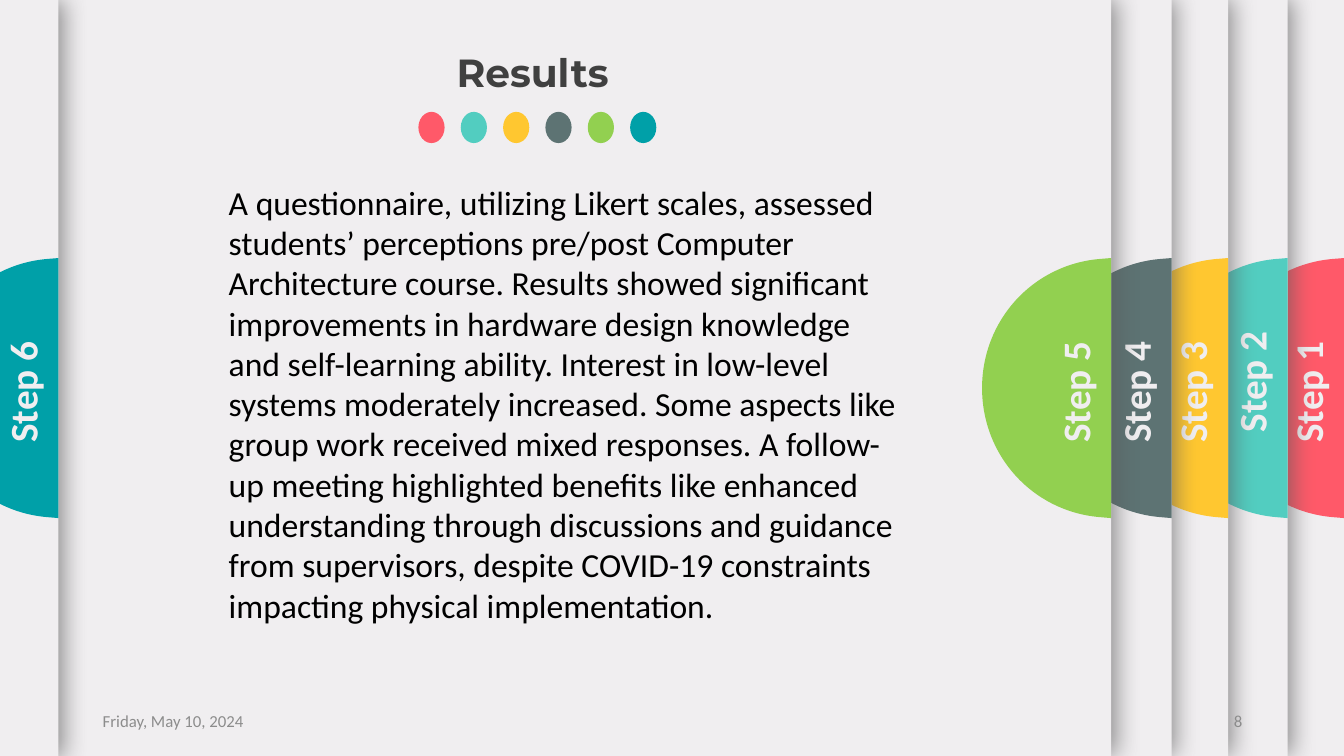
from lxml import etree
from pptx import Presentation
from pptx.dml.color import RGBColor
from pptx.enum import shapes, text
from pptx.oxml import ns
from pptx.util import Inches, Pt

PANEL = RGBColor(0xF0, 0xEE, 0xF0)
RED = RGBColor(0xFF, 0x59, 0x69)
TURQUOISE = RGBColor(0x52, 0xCD, 0xC0)
YELLOW = RGBColor(0xFF, 0xC7, 0x30)
SLATE = RGBColor(0x5D, 0x73, 0x73)
GREEN = RGBColor(0x92, 0xD0, 0x50)
TEAL = RGBColor(0x00, 0xA0, 0xA8)
DARK = RGBColor(0x40, 0x40, 0x40)
BLACK = RGBColor(0, 0, 0)
GREY = RGBColor(0x8C, 0x8C, 0x8C)

SLIDE_HEIGHT = 7.5
TAB_TOP, TAB_WIDTH, TAB_HEIGHT = 2.56, 1.28, 2.58

# Sheet left, sheet right edge, tab colour, label top
STEPS = [
    (-0.32, 13.33, RED, 3.56),
    (0.25, 12.77, TURQUOISE, 3.46),
    (1.29, 12.18, YELLOW, 3.56),
    (1.15, 11.62, SLATE, 3.56),
    (-1.95, 11.02, GREEN, 3.56),
    (-10.27, 0.58, TEAL, 3.56),
]

BODY = (
    "A questionnaire, utilizing Likert scales, assessed students’ perceptions "
    "pre/post Computer Architecture course. Results showed significant "
    "improvements in hardware design knowledge and self-learning ability. "
    "Interest in low-level systems moderately increased. Some aspects like "
    "group work received mixed responses. A follow-up meeting highlighted "
    "benefits like enhanced understanding through discussions and guidance "
    "from supervisors, despite COVID-19 constraints impacting physical "
    "implementation."
)


def paint(shape, color):
    shape.shadow.inherit = False
    shape.fill.solid()
    shape.fill.fore_color.rgb = color
    shape.line.fill.background()


def add_text(slide, words, left, top, width, height, *, size, color,
             font="Calibri", bold=False, align=text.PP_ALIGN.LEFT,
             anchor=text.MSO_ANCHOR.TOP, rotation=0, margin_top=0.05):
    box = slide.shapes.add_textbox(
        Inches(left), Inches(top), Inches(width), Inches(height))
    box.rotation = rotation
    frame = box.text_frame
    frame.word_wrap = True
    frame.vertical_anchor = anchor
    frame.margin_top = Inches(margin_top)
    paragraph = frame.paragraphs[0]
    paragraph.alignment = align
    run = paragraph.add_run()
    run.text = words
    run.font.name = font
    run.font.size = Pt(size)
    run.font.bold = bold
    run.font.color.rgb = color


def add_side_shadow(shape):
    """Cast a soft shadow to the right of the shape."""
    effects = shape._element.spPr.find(ns.qn("a:effectLst"))
    shadow = etree.SubElement(
        effects, ns.qn("a:outerShdw"), blurRad=str(Pt(17)), dist=str(Pt(3)),
        dir="0", algn="l", rotWithShape="0")
    color = etree.SubElement(shadow, ns.qn("a:srgbClr"), val="595959")
    etree.SubElement(color, ns.qn("a:alpha"), val="65000")


def curve_lines(shape, first):
    """Turn each three line segments from index first on into one curve."""
    lines = list(shape._element.iter(ns.qn("a:lnTo")))[first:]
    for start in range(0, len(lines), 3):
        curve = etree.Element(ns.qn("a:cubicBezTo"))
        lines[start].addprevious(curve)
        for line in lines[start:start + 3]:
            curve.append(line[0])
            line.getparent().remove(line)


def add_half_disc(slide, left, top, width, height, color):
    """Draw the left half of a disc, flat on its right side."""
    right, bottom, middle = left + width, top + height, top + height / 2
    shoulder, bend = right - 0.12, left + 0.5
    reach = height * 0.26
    points = [
        (right, bottom), (shoulder, bottom - 0.01),
        (bend, bottom - 0.07), (left, middle + reach), (left, middle),
        (left, middle - reach), (bend, top + 0.07), (shoulder, top + 0.01),
    ]
    builder = slide.shapes.build_freeform(Inches(right), Inches(top))
    builder.add_line_segments([(Inches(x), Inches(y)) for x, y in points])
    disc = builder.convert_to_shape()
    curve_lines(disc, 2)
    path = next(disc._element.iter(ns.qn("a:cubicBezTo"))).getparent()
    etree.SubElement(path, ns.qn("a:close"))
    paint(disc, color)


def add_step_panel(slide, number, left, edge, color, label_top):
    """Draw a sheet that ends at edge, with its tab and turned label."""
    sheet = slide.shapes.add_shape(
        shapes.MSO_SHAPE.RECTANGLE, Inches(left), 0, Inches(edge - left),
        Inches(SLIDE_HEIGHT))
    paint(sheet, PANEL)
    add_side_shadow(sheet)
    add_half_disc(slide, edge - TAB_WIDTH, TAB_TOP, TAB_WIDTH, TAB_HEIGHT,
                  color)
    # The trailing space offsets the centred label along the tab.
    add_text(slide, f"Step {number} ", edge - 1.45, label_top, 2.18, 0.57,
             size=28, color=PANEL, bold=True, align=text.PP_ALIGN.CENTER,
             rotation=270)


def add_dots(slide, left, top, pitch):
    for index, (_, _, color, _) in enumerate(STEPS):
        dot = slide.shapes.add_shape(
            shapes.MSO_SHAPE.OVAL, Inches(left + index * pitch), Inches(top),
            Inches(0.26), Inches(0.31))
        paint(dot, color)


def add_content(slide, left, top, width):
    add_text(slide, "Results", left + 2.26, top, 3.86, 0.57, size=28,
             color=DARK, font="Montserrat", bold=True)
    add_text(slide, BODY, left, top + 0.92, width, 4.95, size=24, color=BLACK,
             margin_top=0.45)


def add_footer(slide, left, top, width):
    field, height = 3, 0.4
    style = dict(size=12, color=GREY, anchor=text.MSO_ANCHOR.MIDDLE)
    add_text(slide, "Friday, May 10, 2024", left, top, field, height, **style)
    add_text(slide, "8", left + width - field, top, field, height,
             align=text.PP_ALIGN.RIGHT, **style)


def main():
    presentation = Presentation()
    presentation.slide_width = Inches(13.33)
    presentation.slide_height = Inches(SLIDE_HEIGHT)
    slide = presentation.slides.add_slide(presentation.slide_layouts[6])
    for number, step in enumerate(STEPS, start=1):
        add_step_panel(slide, number, *step)
    add_content(slide, 2.17, 0.43, 6.89)
    add_footer(slide, 0.92, 6.95, 11.5)
    add_dots(slide, 4.15, 1.11, 0.42)
    presentation.save("out.pptx")


if __name__ == "__main__":
    main()
